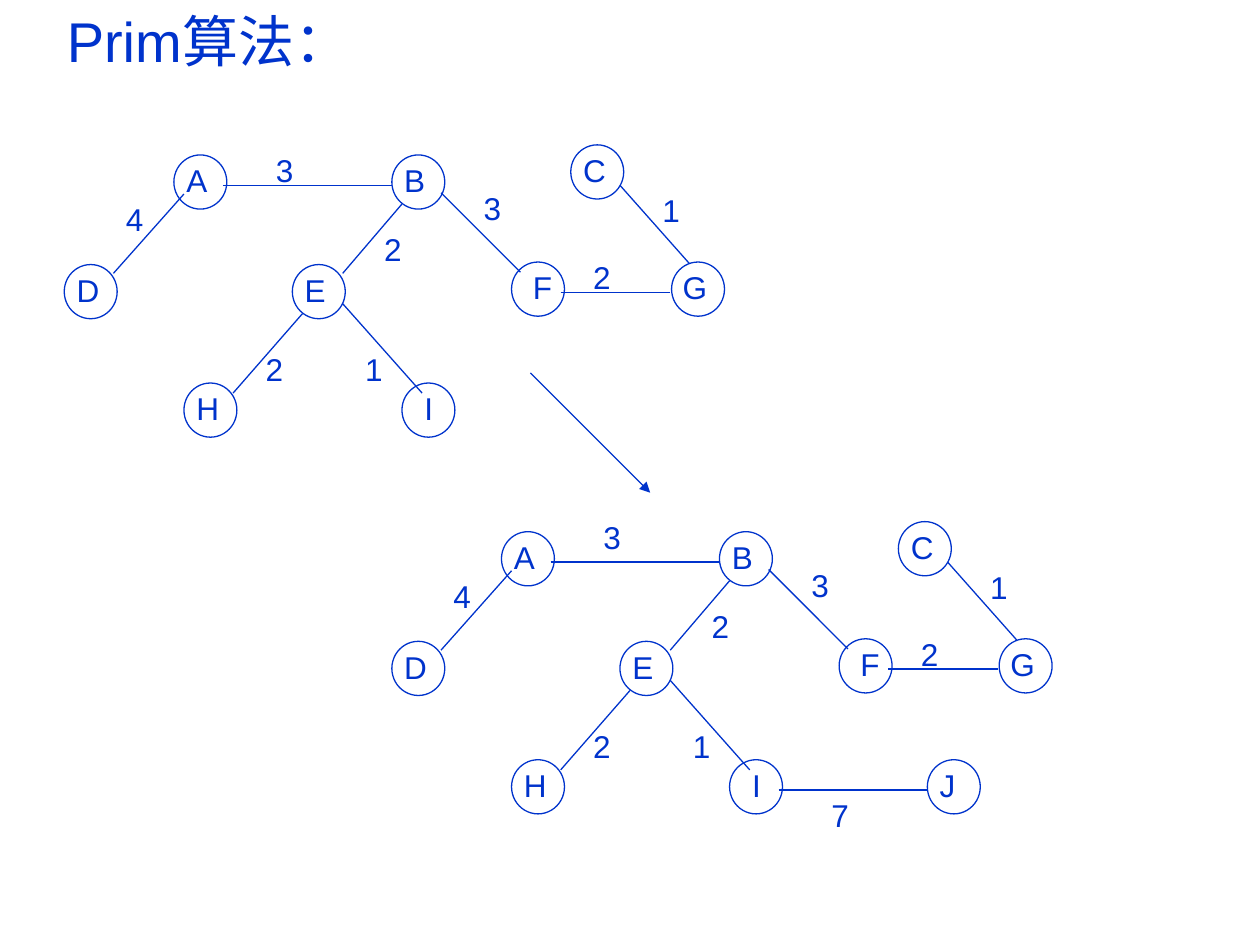
from dataclasses import dataclass

from lxml import etree
from pptx import Presentation
from pptx.dml.color import RGBColor
from pptx.enum.shapes import MSO_CONNECTOR, MSO_SHAPE
from pptx.enum.text import MSO_ANCHOR, MSO_AUTO_SIZE, PP_ALIGN
from pptx.oxml.ns import qn
from pptx.util import Pt

PX = 9144  # EMU in one px, at 100 px to the inch


@dataclass(frozen=True)
class Theme:
    ink: RGBColor = RGBColor(0x00, 0x33, 0xCC)
    font: str = "Arial"
    title_size: int = 32
    label_size: int = 18
    line_width: float = 0.75


THEME = Theme()

TITLE = "Prim算法："
TITLE_AREA = (43, 0, 900, 670)
NODE_SIZE = (42, 43)
LABEL_HEIGHT = 40

# letter: circle left, circle top, letter shift, letter box width
NODES = {
    "A": (138, 123, 0, 55),
    "B": (311, 123, 0, 55),
    "C": (453, 115, 0, 55),
    "D": (51, 210, 0, 47),
    "E": (232, 210, 0, 63),
    "F": (406, 208, 7, 55),
    "G": (533, 208, -1, 43),
    "H": (146, 304, 0, 55),
    "I": (319, 304, 8, 55),
}
# from x, from y, to x, to y
EDGES = [
    (90, 217, 146, 154),   # D-A
    (177, 147, 311, 147),  # A-B
    (319, 162, 272, 217),  # B-E
    (240, 249, 185, 312),  # E-H
    (272, 241, 335, 312),  # E-I
    (350, 153, 413, 216),  # B-F
    (445, 232, 532, 232),  # F-G
    (492, 147, 547, 209),  # C-G
]
# weight, left, top, width
WEIGHTS = [
    ("4", 90, 154, 32),
    ("2", 295, 178, 39),
    ("2", 201, 273, 39),
    ("1", 280, 273, 39),
    ("3", 374, 145, 31),
    ("2", 461, 200, 47),
    ("1", 516, 147, 47),
]
TREE_OFFSETS = [(0, 0), (260, 299)]

ADDED_NODE = ("J", 736, 603, 0, 55)
ADDED_EDGE = (618, 627, 736, 627)
STEP_ARROW = (421, 296, 516, 391)
LOOSE_WEIGHTS = [("7", 650, 627, 55), ("3", 209, 115, 71), ("3", 469, 406, 63)]


def scaled(*lengths):
    return [length * PX for length in lengths]


def write(box, text, size):
    frame = box.text_frame
    frame.text = text
    frame.word_wrap = True
    frame.vertical_anchor = MSO_ANCHOR.TOP
    para = frame.paragraphs[0]
    para.alignment = PP_ALIGN.LEFT
    font = para.runs[0].font
    for name, value in {"name": THEME.font, "size": Pt(size)}.items():
        setattr(font, name, value)
    font.color.rgb = THEME.ink


def ink_line(line):
    line.color.rgb = THEME.ink
    line.width = Pt(THEME.line_width)


def add_label(shapes, text, left, top, width):
    box = shapes.add_textbox(*scaled(left, top, width, LABEL_HEIGHT))
    write(box, text, THEME.label_size)
    box.text_frame.auto_size = MSO_AUTO_SIZE.SHAPE_TO_FIT_TEXT


def add_node(shapes, letter, left, top, shift, width):
    circle = shapes.add_shape(MSO_SHAPE.OVAL, *scaled(left, top, *NODE_SIZE))
    circle.shadow.inherit = False
    circle.fill.background()
    ink_line(circle.line)
    add_label(shapes, letter, left + shift, top, width)


def add_edge(shapes, *ends, arrow=False):
    edge = shapes.add_connector(MSO_CONNECTOR.STRAIGHT, *scaled(*ends))
    ink_line(edge.line)
    properties = edge._element.spPr
    if arrow:
        etree.SubElement(properties.find(qn("a:ln")), qn("a:tailEnd"), type="triangle")
    etree.SubElement(properties, qn("a:effectLst"))


def add_tree(page, dx, dy):
    shapes = page.shapes.add_group_shape().shapes
    for letter, (left, top, shift, width) in NODES.items():
        add_node(shapes, letter, left + dx, top + dy, shift, width)
    for x1, y1, x2, y2 in EDGES:
        add_edge(shapes, x1 + dx, y1 + dy, x2 + dx, y2 + dy)
    for weight, left, top, width in WEIGHTS:
        add_label(shapes, weight, left + dx, top + dy, width)


def main():
    deck = Presentation()
    deck.slide_width, deck.slide_height = scaled(1000, 750)
    page = deck.slides.add_slide(deck.slide_layouts[5])

    title = page.shapes.title
    for name, value in zip(("left", "top", "width", "height"), scaled(*TITLE_AREA)):
        setattr(title, name, value)
    write(title, TITLE, THEME.title_size)
    title.text_frame.auto_size = MSO_AUTO_SIZE.NONE

    for offset in TREE_OFFSETS:
        add_tree(page, *offset)
    add_node(page.shapes, *ADDED_NODE)
    add_edge(page.shapes, *ADDED_EDGE)
    add_edge(page.shapes, *STEP_ARROW, arrow=True)
    for weight in LOOSE_WEIGHTS:
        add_label(page.shapes, *weight)

    deck.save("out.pptx")


if __name__ == "__main__":
    main()
